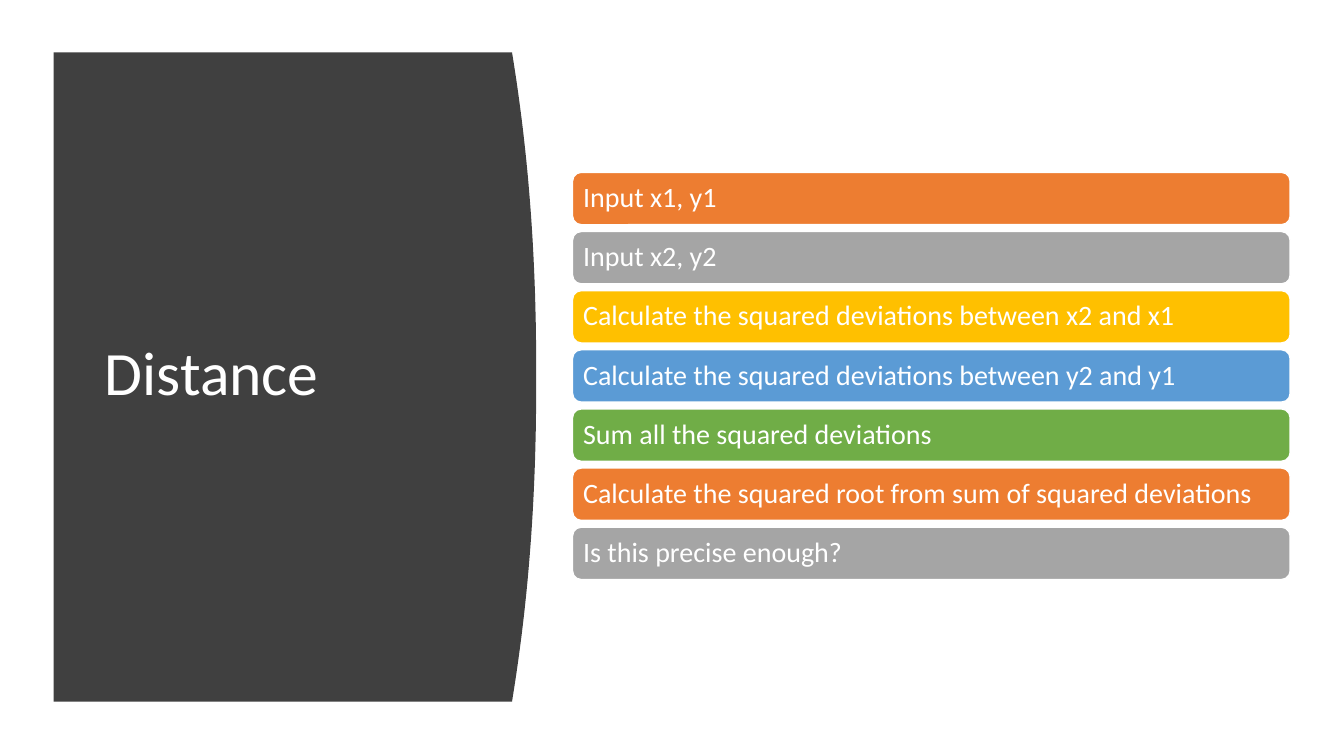
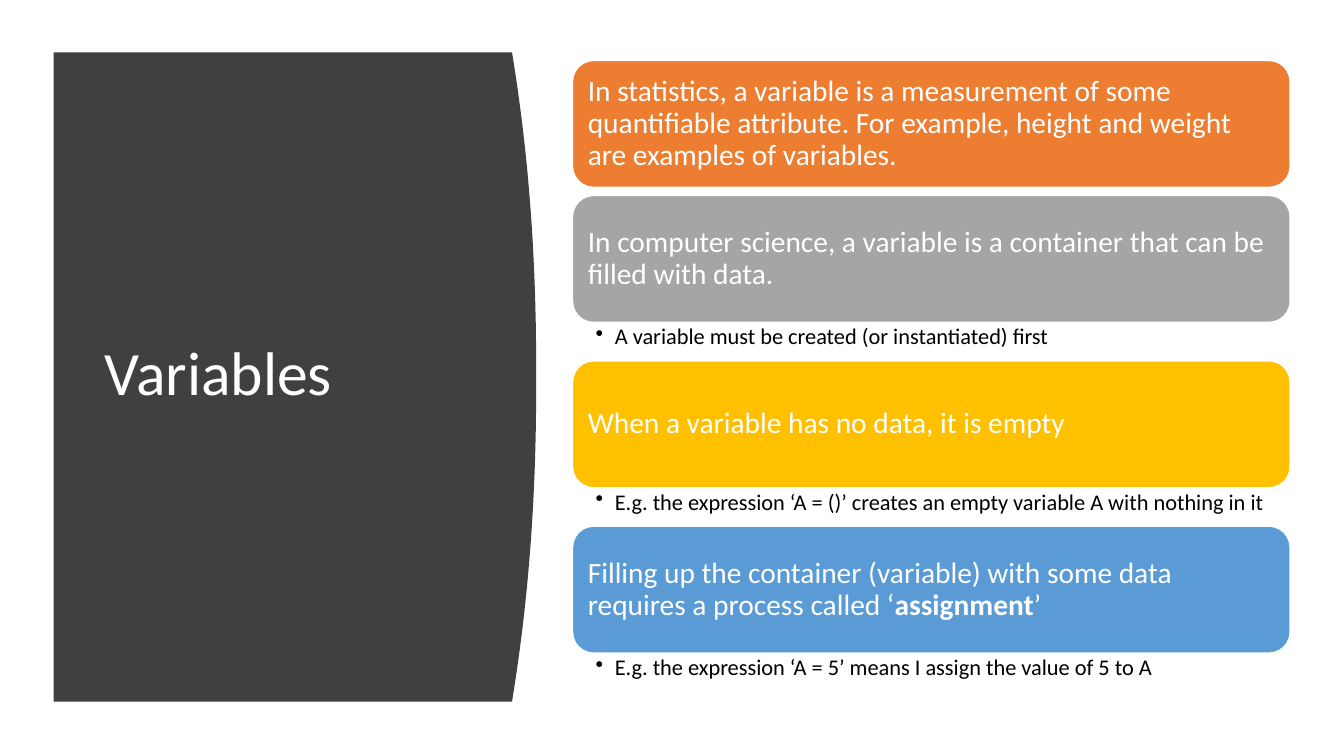
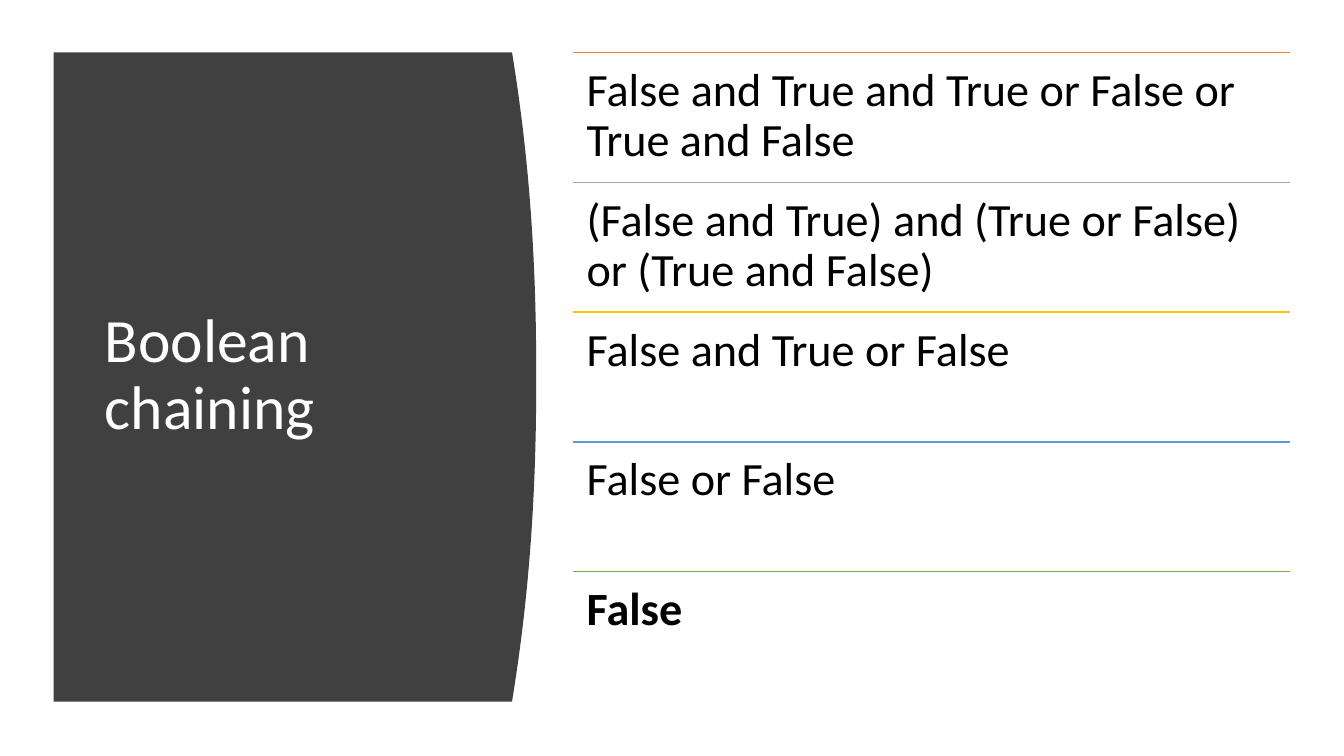
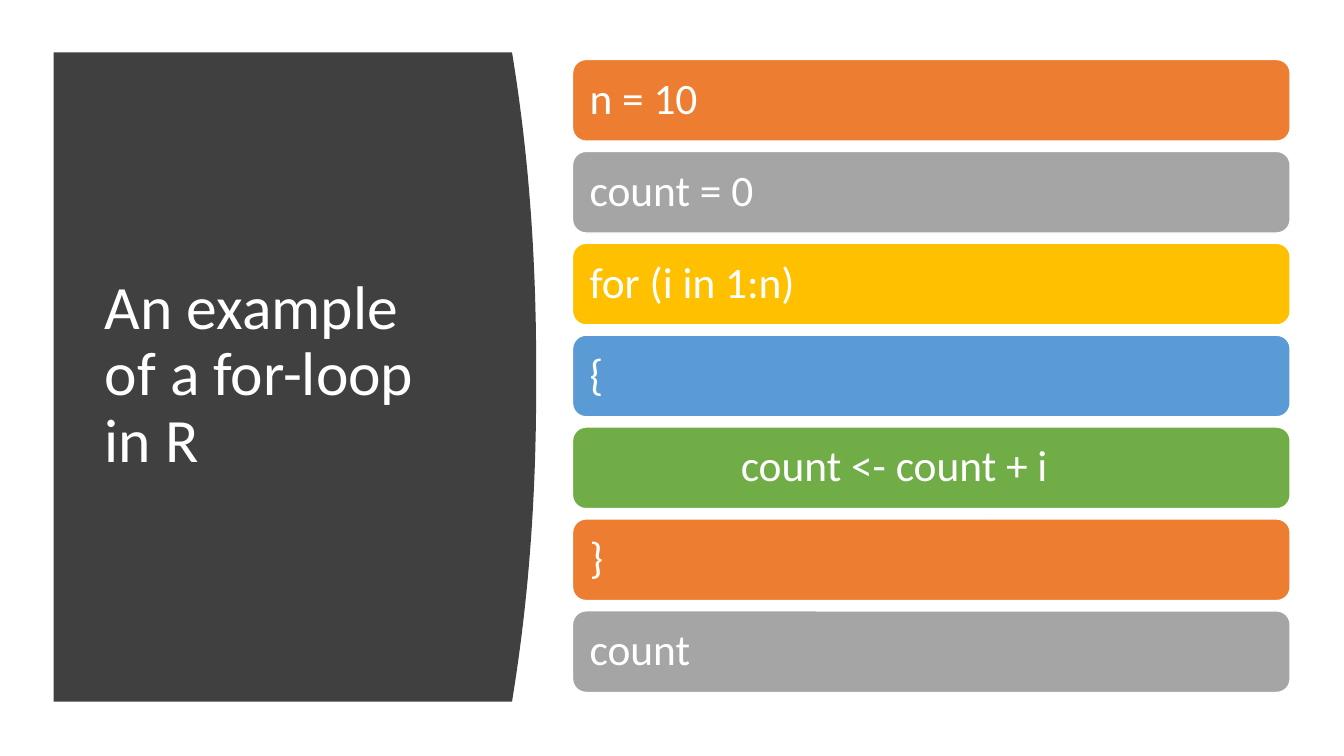
from dataclasses import dataclass
from typing import Optional

from lxml import etree
from pptx import Presentation
from pptx.dml.color import RGBColor
from pptx.enum.shapes import MSO_CONNECTOR, MSO_SHAPE
from pptx.enum.text import MSO_ANCHOR, MSO_AUTO_SIZE, PP_ALIGN
from pptx.oxml.ns import qn
from pptx.util import Emu, Inches, Pt

ROUNDED = MSO_SHAPE.ROUNDED_RECTANGLE
STRAIGHT = MSO_CONNECTOR.STRAIGHT
TOP, MIDDLE = MSO_ANCHOR.TOP, MSO_ANCHOR.MIDDLE
LEFT = PP_ALIGN.LEFT
NO_AUTOFIT = MSO_AUTO_SIZE.NONE

# Shared look
SLIDE_W, SLIDE_H = Inches(13.333), Inches(7.5)
FONT = "Calibri"
WHITE, BLACK, CHARCOAL = "FFFFFF", "000000", "404040"
ACCENTS = ("ED7D31", "A5A5A5", "FFC000", "5B9BD5", "70AD47")
TITLE_ONLY = 5

# Grid of 100 columns by 100 rows
PANEL_LEFT, PANEL_EDGE, PANEL_BULGE = 4, 38.1, 1.8
PANEL_TOP, PANEL_BOTTOM = 6.93, 92.8
CURVE_STEPS, CURVE_POWER = 48, 2.2
TITLE_LEFT, TITLE_TOP, TITLE_W, TITLE_H = 7.05, 14.8, 28.05, 69.87
BODY_LEFT, BODY_W = 42.6, 53.4
NOTE_H = 5.07


@dataclass(frozen=True)
class Span:
    text: str
    bold: bool = False


@dataclass(frozen=True)
class Card:
    spans: tuple[Span, ...]
    note: Optional[str] = None
    tab: Optional[float] = None


@dataclass(frozen=True)
class CardStack:
    title: str
    top: float
    bottom: float
    card_height: float
    size: int
    inset: float
    cards: tuple[Card, ...]


@dataclass(frozen=True)
class RuledList:
    title: str
    size: int
    inset: float
    entries: tuple[Span, ...]


def col(n: float) -> Emu:
    return Emu(round(SLIDE_W * n / 100))


def row(n: float) -> Emu:
    return Emu(round(SLIDE_H * n / 100))


def rgb(color: str) -> RGBColor:
    return RGBColor.from_string(color)


def card(text: str, note: Optional[str] = None, tab: Optional[float] = None) -> Card:
    return Card((Span(text),), note, tab)


def write(frame, spans: tuple[Span, ...], size: int, color: str, anchor,
          insets: Optional[tuple[float, ...]] = None,
          bullet: bool = False, tab: Optional[float] = None) -> None:
    """Fill a text frame with one paragraph; insets are left, top, right, bottom."""
    frame.word_wrap = True
    frame.auto_size = NO_AUTOFIT
    frame.vertical_anchor = anchor
    if insets:
        (frame.margin_left, frame.margin_top,
         frame.margin_right, frame.margin_bottom) = map(Inches, insets)
    paragraph = frame.paragraphs[0]
    paragraph.alignment = LEFT
    paragraph.line_spacing = 0.9
    properties = paragraph._p.get_or_add_pPr()
    if bullet:
        paragraph.level = 1
        properties.set("marL", str(Inches(0.19)))
        properties.set("indent", str(Inches(-0.19)))
        etree.SubElement(properties, qn("a:buChar"), char="•")
    if tab:
        stops = etree.SubElement(properties, qn("a:tabLst"))
        etree.SubElement(stops, qn("a:tab"), pos=str(Inches(tab)), algn="l")
    for span in spans:
        run = paragraph.add_run()
        run.text = span.text
        run.font.name = FONT
        run.font.size = Pt(size)
        run.font.bold = span.bold
        run.font.color.rgb = rgb(color)


def add_titled_slide(prs, heading: str):
    """Add a slide with the curved dark panel and its title."""
    slide = prs.slides.add_slide(prs.slide_layouts[TITLE_ONLY])

    # Panel with a bulging right edge
    outline = slide.shapes.build_freeform(col(PANEL_LEFT), row(PANEL_TOP), scale=1.0)
    edge = []
    for step in range(CURVE_STEPS + 1):
        share = step / CURVE_STEPS
        bulge = PANEL_BULGE * (1 - abs(2 * share - 1) ** CURVE_POWER)
        edge.append((col(PANEL_EDGE + bulge),
                     row(PANEL_TOP + share * (PANEL_BOTTOM - PANEL_TOP))))
    outline.add_line_segments(edge + [(col(PANEL_LEFT), row(PANEL_BOTTOM))], close=True)
    panel = outline.convert_to_shape()
    panel.shadow.inherit = False
    panel.fill.solid()
    panel.fill.fore_color.rgb = rgb(CHARCOAL)
    panel.line.fill.background()

    # Title in front of the panel
    title = slide.shapes.title
    title.left, title.top = col(TITLE_LEFT), row(TITLE_TOP)
    title.width, title.height = col(TITLE_W), row(TITLE_H)
    title.element.addprevious(panel.element)
    write(title.text_frame, (Span(heading),), 44, WHITE, MIDDLE)
    return slide


def add_body_text(slide, top: float, height: float):
    box = slide.shapes.add_textbox(col(BODY_LEFT), row(top), col(BODY_W), row(height))
    return box.text_frame


def draw_card_stack(prs, stack: CardStack) -> None:
    slide = add_titled_slide(prs, stack.title)
    # Cards without a note share the free height as gaps
    notes = sum(item.note is not None for item in stack.cards)
    gaps = sum(item.note is None for item in stack.cards[:-1])
    used = len(stack.cards) * stack.card_height + notes * NOTE_H
    gap = (stack.bottom - stack.top - used) / gaps
    top = stack.top
    for index, item in enumerate(stack.cards):
        bar = slide.shapes.add_shape(ROUNDED, col(BODY_LEFT), row(top),
                                     col(BODY_W), row(stack.card_height))
        bar.shadow.inherit = False
        bar.fill.solid()
        bar.fill.fore_color.rgb = rgb(ACCENTS[index % len(ACCENTS)])
        bar.line.color.rgb = rgb(WHITE)
        bar.line.width = Pt(1)
        write(bar.text_frame, item.spans, stack.size, WHITE, MIDDLE,
              (stack.inset,) * 4, tab=item.tab)
        top += stack.card_height
        if item.note is None:
            top += gap
        else:
            write(add_body_text(slide, top, NOTE_H), (Span(item.note),), 16, BLACK,
                  TOP, (0.23, 0.03, 0.16, 0.03), bullet=True)
            top += NOTE_H


def draw_ruled_list(prs, ruled: RuledList) -> None:
    slide = add_titled_slide(prs, ruled.title)
    pitch = (PANEL_BOTTOM - PANEL_TOP) / len(ruled.entries)
    for index, entry in enumerate(ruled.entries):
        top = PANEL_TOP + index * pitch
        rule = slide.shapes.add_connector(STRAIGHT, col(BODY_LEFT), row(top),
                                          col(BODY_LEFT + BODY_W), row(top))
        rule.line.color.rgb = rgb(ACCENTS[index])
        rule.line.width = Pt(1)
        etree.SubElement(rule.element.spPr, qn("a:effectLst"))
        write(add_body_text(slide, top, pitch), (entry,), ruled.size, BLACK, TOP,
              (ruled.inset,) * 4)


# Content
DISTANCE = CardStack("Distance", 22.8, 76.67, 6.93, 20, 0.08, (
    card("Input x1, y1"),
    card("Input x2, y2"),
    card("Calculate the squared deviations between x2 and x1"),
    card("Calculate the squared deviations between y2 and y1"),
    card("Sum all the squared deviations"),
    card("Calculate the squared root from sum of squared deviations"),
    card("Is this precise enough?"),
))

VARIABLES = CardStack("Variables", 8, 91.47, 16.8, 21, 0.09, (
    card("In statistics, a variable is a measurement of some quantifiable attribute. "
         "For example, height and weight are examples of variables."),
    card("In computer science, a variable is a container that can be filled with data.",
         "A variable must be created (or instantiated) first"),
    card("When a variable has no data, it is empty",
         "E.g. the expression ‘A = ()’ creates an empty variable A with nothing in it"),
    Card((Span("Filling up the container (variable) with some data requires "
               "a process called ‘"), Span("assignment", bold=True), Span("’")),
         "E.g. the expression ‘A = 5’ means I assign the value of 5 to A"),
))

BOOLEAN_CHAINING = RuledList("Boolean chaining", 33, 0.14, (
    Span("False and True and True or False or True and False"),
    Span("(False and True) and (True or False) or (True and False)"),
    Span("False and True or False"),
    Span("False or False"),
    Span("False", bold=True),
))

FOR_LOOP = CardStack("An example of a for-loop in R", 7.87, 91.6, 10.8, 31, 0.13, (
    card("n = 10"),
    card("count = 0"),
    card("for (i in 1:n)"),
    card("{"),
    card("\tcount <- count + i", tab=1.5),
    card("}"),
    card("count"),
))


def main() -> None:
    prs = Presentation()
    prs.slide_width, prs.slide_height = SLIDE_W, SLIDE_H
    draw_card_stack(prs, DISTANCE)
    draw_card_stack(prs, VARIABLES)
    draw_ruled_list(prs, BOOLEAN_CHAINING)
    draw_card_stack(prs, FOR_LOOP)
    prs.save("out.pptx")


if __name__ == "__main__":
    main()
